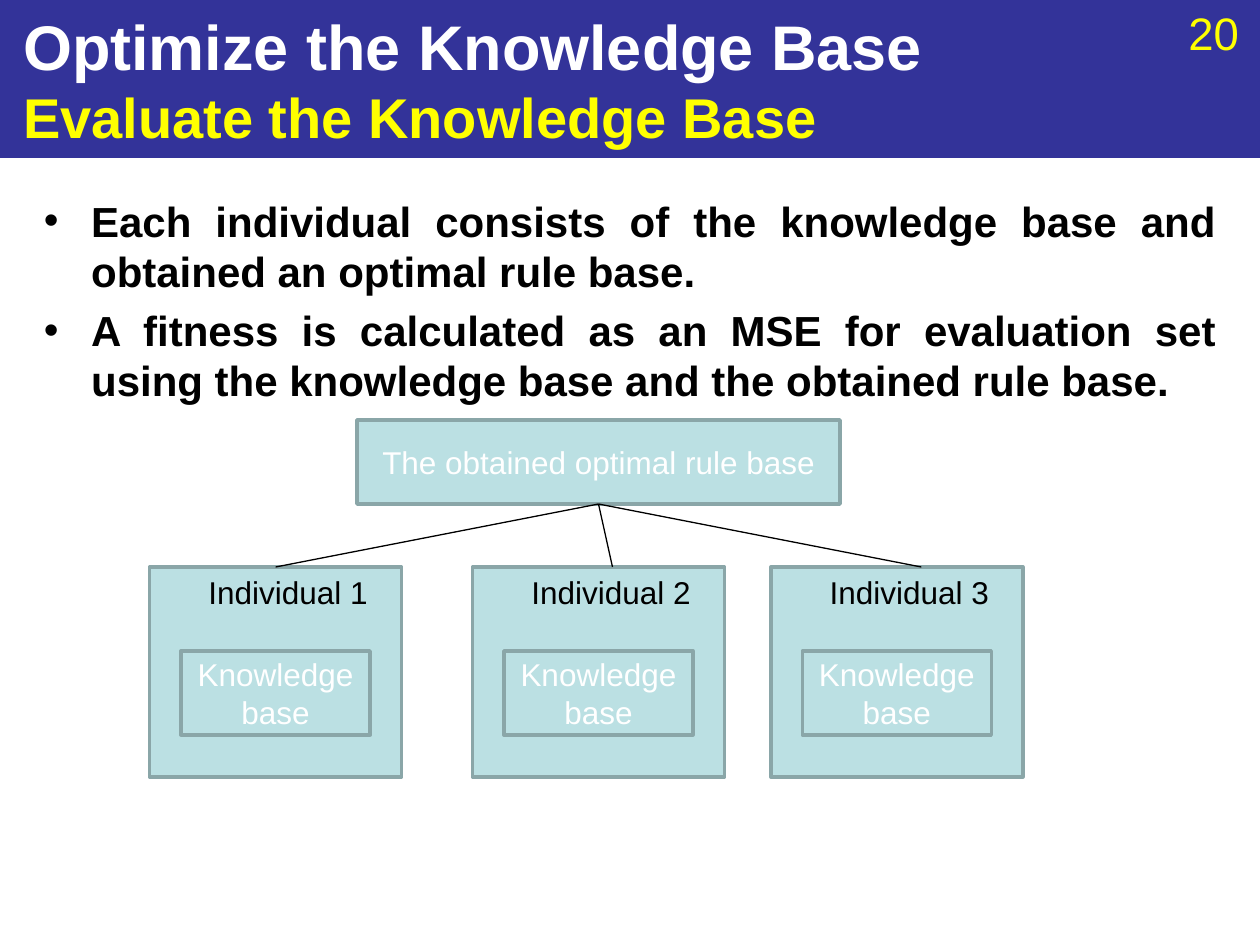
"""Build the slide on evaluating the knowledge base."""
from lxml.etree import SubElement
from pptx import Presentation
from pptx.dml.color import RGBColor
from pptx.enum.shapes import MSO_CONNECTOR, MSO_SHAPE
from pptx.enum.text import MSO_ANCHOR, MSO_AUTO_SIZE, PP_ALIGN
from pptx.oxml.ns import qn
from pptx.util import Pt


def style(run, size, color, bold=False):
    font = run.font
    font.name, font.size, font.bold = "Arial", Pt(size), bold
    font.color.rgb = RGBColor.from_string(color)


def add_box(shapes, frame, fill="BBE0E3", border="8AA6A8", weight=2, label=""):
    box = shapes.add_shape(MSO_SHAPE.RECTANGLE, *map(Pt, frame))
    box.shadow.inherit = False
    box.fill.solid()
    box.fill.fore_color.rgb = RGBColor.from_string(fill)
    box.line.color.rgb = RGBColor.from_string(border)
    box.line.width = Pt(weight)
    if label:
        box.text_frame.text = label
        box.text_frame.vertical_anchor = MSO_ANCHOR.MIDDLE
        paragraph = box.text_frame.paragraphs[0]
        paragraph.alignment = PP_ALIGN.CENTER
        style(paragraph.runs[0], 18, "FFFFFF")
    return box


presentation = Presentation()
presentation.slide_width, presentation.slide_height = Pt(720), Pt(540)
slide = presentation.slides.add_slide(presentation.slide_layouts[5])
shapes = slide.shapes

title = shapes.title
title.left, title.top, title.width, title.height = Pt(6), Pt(0), Pt(648), Pt(90)
title.text_frame.text = "Optimize the Knowledge Base\vEvaluate the Knowledge Base"
title.text_frame.auto_size = MSO_AUTO_SIZE.NONE
title.text_frame.vertical_anchor = MSO_ANCHOR.MIDDLE
heading = title.text_frame.paragraphs[0]
heading.alignment = PP_ALIGN.LEFT
style(heading.runs[0], 36, "FFFFFF", True)
style(heading.runs[1], 32, "FFFF00", True)

band = add_box(shapes, (0, 0, 720, 90), "333399", "333399", 0.75)
title.element.addprevious(band.element)

page_number = shapes.add_textbox(Pt(672), Pt(-0.5), Pt(48), Pt(39))
page_number.text_frame.text = "20"
style(page_number.text_frame.paragraphs[0].runs[0], 26, "FFFF00")

body = shapes.add_textbox(Pt(18), Pt(108), Pt(684), Pt(408))
body.text_frame.word_wrap = True
body.text_frame.text = (
    "Each individual consists of the knowledge base and obtained an optimal rule base.\n"
    "A fitness is calculated as an MSE for evaluation set using the knowledge base "
    "and the obtained rule base."
)
for point in body.text_frame.paragraphs:
    point.alignment = PP_ALIGN.JUSTIFY
    point.space_before = Pt(4.8)
    style(point.runs[0], 24, "000000", True)
    properties = point._p.get_or_add_pPr()
    properties.set("marL", str(Pt(27)))
    properties.set("indent", str(Pt(-27)))
    SubElement(properties, qn("a:buFont"), typeface="Arial")
    SubElement(properties, qn("a:buChar"), char="•")

add_box(shapes, (204, 240, 276, 48), label="The obtained optimal rule base")

for number, left in enumerate((85.5, 270, 440.5), start=1):
    add_box(shapes, (left, 324, 144, 120))
    add_box(shapes, (left + 18, 372, 108, 48), label="Knowledge base")
    individual = shapes.add_textbox(Pt(left + 26.5), Pt(324), Pt(106.5), Pt(29))
    individual.text_frame.word_wrap = False
    individual.text_frame.text = f"Individual {number}"
    style(individual.text_frame.paragraphs[0].runs[0], 18, "000000")

for branch_end in (157.5, 350, 526.5):
    branch = shapes.add_connector(
        MSO_CONNECTOR.STRAIGHT, Pt(342), Pt(288), Pt(branch_end), Pt(324)
    )
    branch.line.color.rgb = RGBColor.from_string("000000")
    branch.line.width = Pt(0.75)
    SubElement(branch.element.spPr, qn("a:effectLst"))

presentation.save("out.pptx")
